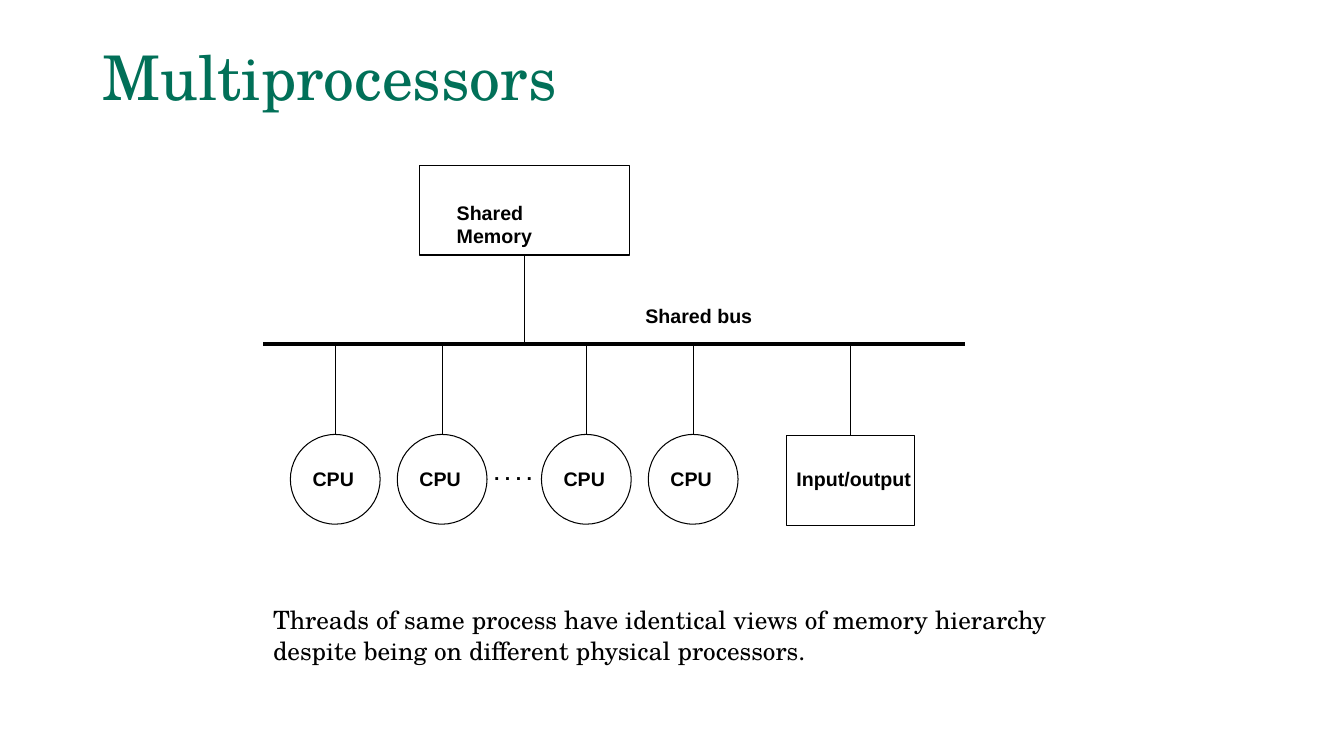
from lxml.etree import SubElement
from pptx import Presentation
from pptx.dml.color import RGBColor
from pptx.enum.shapes import MSO_CONNECTOR, MSO_SHAPE
from pptx.enum.text import MSO_ANCHOR
from pptx.oxml.ns import qn
from pptx.util import Inches, Pt

# Content: lengths in inches
TITLE = "Multiprocessors"
NOTE = ("Threads of same process have identical views of memory hierarchy "
        "despite being on different physical processors.")
BLACK, GREEN = "000000", "017058"
SERIF, SANS = "TeX Gyre Schola", "Arial"

MEMORY_BOX = (4.16, 1.64, 2.08, 0.89)
IO_BOX = (7.8, 4.32, 1.27, 0.89)
CPU_LEFTS = [2.88, 3.94, 5.37, 6.43]
CPU_TOP, CPU_SIZE = 4.31, 0.89
BUS_LEFT, BUS_RIGHT, BUS_Y = 2.61, 9.57, 3.41

# Diagram labels: text, left, top, width
LABELS = [
    ("Shared Memory", 4.47, 1.96, 1.57),
    (". . . .", 4.84, 4.54, 0.51),
    ("Input/output", 7.84, 4.6, 1.27),
    ("Shared bus", 6.34, 2.99, 1.21),
] + [("CPU", left + 0.16, 4.6, 0.64) for left in CPU_LEFTS]

presentation = Presentation()
presentation.slide_width = Inches(13.33)
presentation.slide_height = Inches(7.5)
slide = presentation.slides.add_slide(presentation.slide_layouts[6])


def color(hex_string):
    return RGBColor.from_string(hex_string)


def add_text(text, box, size, font, text_color=BLACK, bold=False, insets=(0.1, 0.05)):
    frame = slide.shapes.add_textbox(*map(Inches, box)).text_frame
    frame.word_wrap = True
    frame.margin_left = frame.margin_right = Inches(insets[0])
    frame.margin_top = frame.margin_bottom = Inches(insets[1])
    run = frame.paragraphs[0].add_run()
    run.text = text
    run.font.size = Pt(size)
    run.font.name = font
    run.font.bold = bold
    run.font.color.rgb = color(text_color)
    return frame


def add_outline(kind, box):
    shape = slide.shapes.add_shape(kind, *map(Inches, box))
    shape.shadow.inherit = False
    shape.fill.background()
    shape.line.color.rgb = color(BLACK)
    shape.line.width = Pt(0.75)
    return shape


def add_line(start, end, width=0.75):
    line = slide.shapes.add_connector(
        MSO_CONNECTOR.STRAIGHT, *map(Inches, start + end))
    line.line.color.rgb = color(BLACK)
    line.line.width = Pt(width)
    SubElement(line._element.spPr, qn("a:effectLst"))
    return line


def join_to_bus(shape, box, side):
    """Run a vertical line between the bus and a shape's top (0) or bottom (2)."""
    left, top, width, height = box
    center = left + width / 2
    edge = top if side == 0 else top + height
    line = add_line((center, BUS_Y), (center, edge))
    line.end_connect(shape, side)


# Title
title = add_text(TITLE, (0.92, 0.4, 11.5, 0.8), 44, SERIF, GREEN)
title.vertical_anchor = MSO_ANCHOR.MIDDLE
title.paragraphs[0].line_spacing = 0.9

# Memory, processors and input/output, each joined to the bus
join_to_bus(add_outline(MSO_SHAPE.RECTANGLE, MEMORY_BOX), MEMORY_BOX, 2)
for cpu_left in CPU_LEFTS:
    cpu_box = (cpu_left, CPU_TOP, CPU_SIZE, CPU_SIZE)
    join_to_bus(add_outline(MSO_SHAPE.OVAL, cpu_box), cpu_box, 0)
join_to_bus(add_outline(MSO_SHAPE.RECTANGLE, IO_BOX), IO_BOX, 0)

# Shared bus
add_line((BUS_LEFT, BUS_Y), (BUS_RIGHT, BUS_Y), 3)

# Labels
for label, left, top, width in LABELS:
    add_text(label, (left, top, width, 0.3), 14, SANS, bold=True, insets=(0.06, 0.03))

# Closing note
add_text(NOTE, (2.61, 5.95, 8.03, 0.88), 18, SERIF)

presentation.save("out.pptx")
